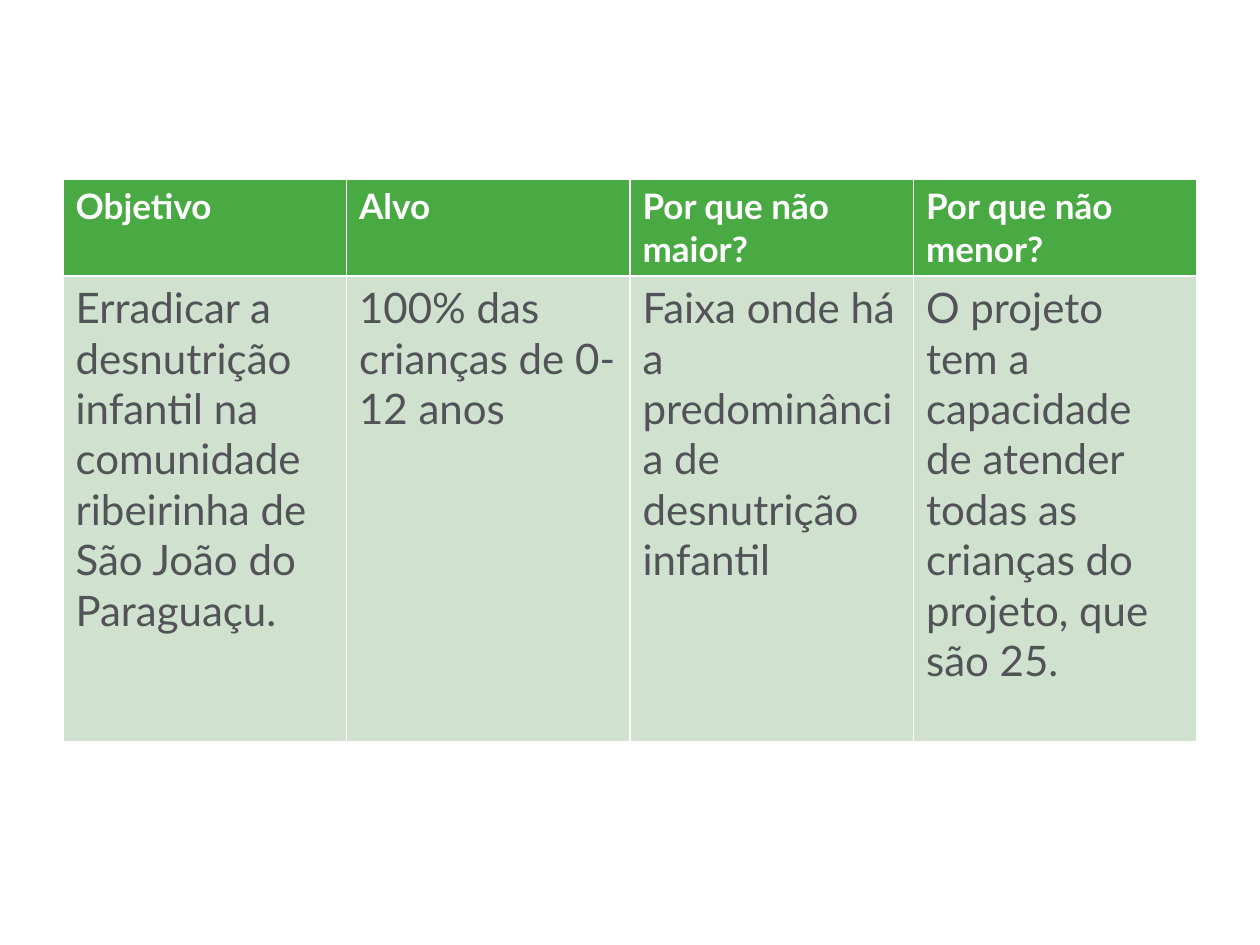
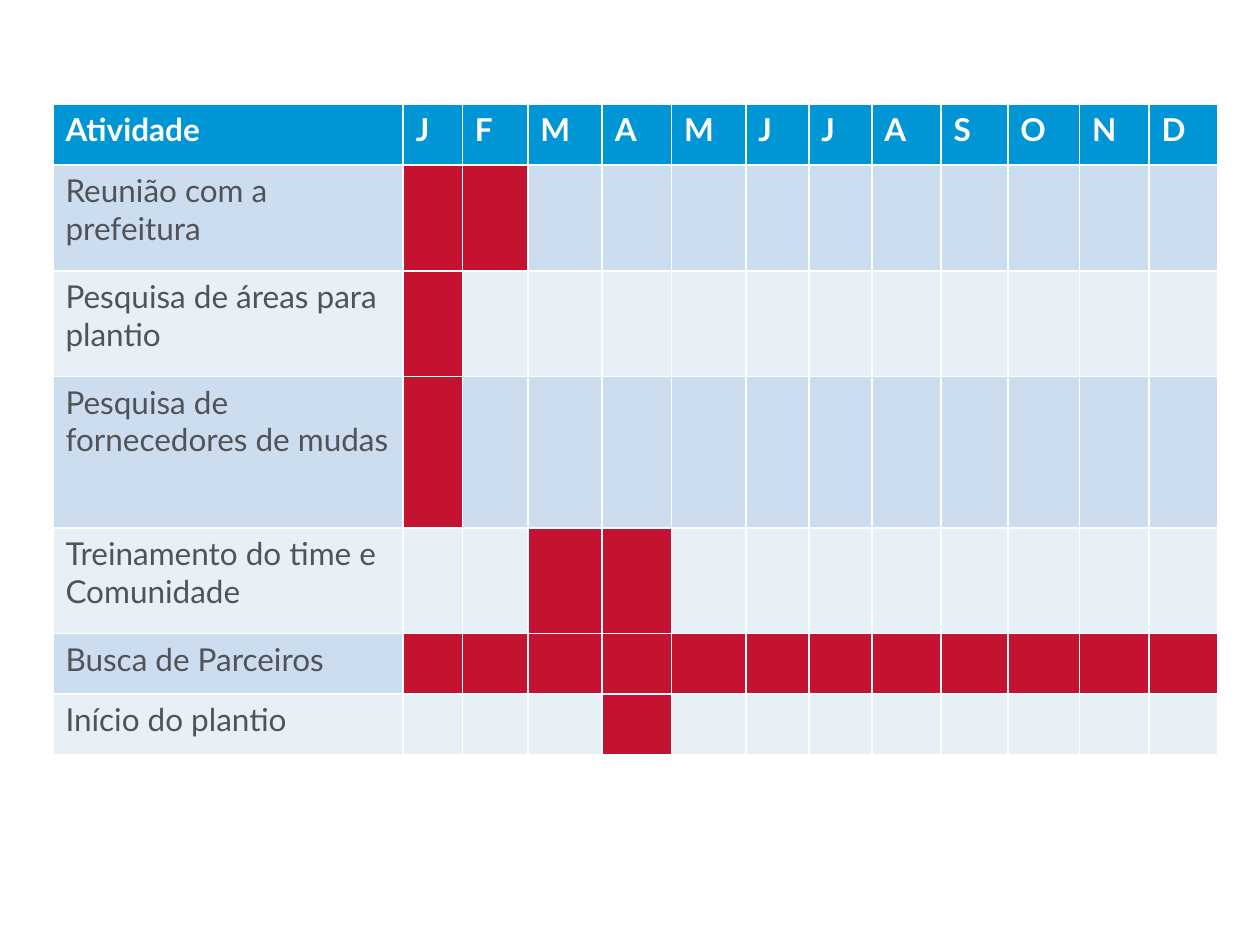
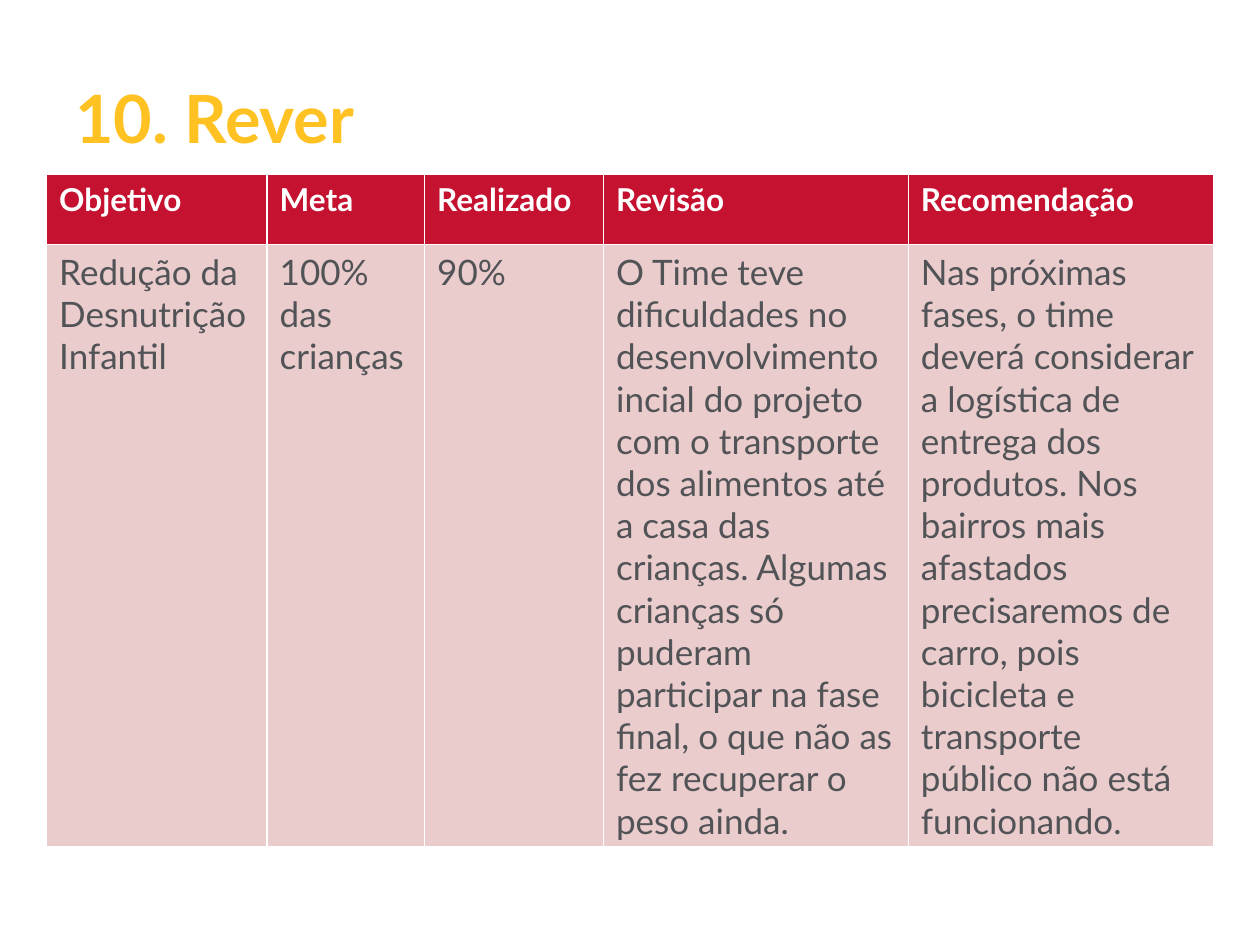
from pptx import Presentation
from pptx.dml.color import RGBColor
from pptx.enum.text import MSO_ANCHOR
from pptx.util import Inches, Pt

MIDDLE = MSO_ANCHOR.MIDDLE
FONT = "Lato"
WHITE = "FFFFFF"
GRAY = "515356"
GREEN = "49A942"
MINT = "D0E2CF"
BLUE = "0096D6"
SKY = "CCDDF0"
PALE = "E7EFF7"
RED = "C41230"
ROSE = "EACCCD"
GOLD = "FFC222"

GOALS = [
    ["Objetivo", "Alvo", "Por que não maior?", "Por que não menor?"],
    [
        "Erradicar a desnutrição infantil na comunidade ribeirinha de São João do Paraguaçu.",
        "100% das crianças de 0-12 anos",
        "Faixa onde há a predominância de desnutrição infantil",
        "O projeto tem a capacidade de atender todas as crianças do projeto, que são 25.",
    ],
]

MONTHS = "JFMAMJJASOND"
TASKS = [
    ("Reunião com a prefeitura", [1, 2]),
    ("Pesquisa de áreas para plantio", [1]),
    ("Pesquisa de fornecedores de mudas", [1]),
    ("Treinamento do time e Comunidade", [3, 4]),
    ("Busca de Parceiros", range(1, 13)),
    ("Início do plantio", [4]),
]

REVIEW = [
    ["Objetivo", "Meta", "Realizado", "Revisão", "Recomendação"],
    [
        "Redução da Desnutrição Infantil",
        "100% das crianças",
        "90%",
        "O Time teve dificuldades no desenvolvimento incial do projeto com o "
        "transporte dos alimentos até a casa das crianças. Algumas crianças só "
        "puderam participar na fase final, o que não as fez recuperar o peso ainda.",
        "Nas próximas fases, o time deverá considerar a logística de entrega dos "
        "produtos. Nos bairros mais afastados precisaremos de carro, pois bicicleta "
        "e transporte público não está funcionando.",
    ],
]


def color(code):
    return RGBColor.from_string(code)


def write(frame, text, size, tint, bold):
    run = frame.paragraphs[0].add_run()
    run.text = text
    font = run.font
    font.name = FONT
    font.size = Pt(size)
    font.bold = bold
    font.color.rgb = color(tint)


def add_title(slide, box, text):
    shape = slide.shapes.add_textbox(*map(Inches, box))
    frame = shape.text_frame
    frame.word_wrap = True
    frame.vertical_anchor = MIDDLE
    write(frame, text, 38, GOLD, True)


def add_grid(slide, left, top, cols, rows, cells, sizes, head, bands):
    box = map(Inches, (left, top, sum(cols), sum(rows)))
    table = slide.shapes.add_table(len(rows), len(cols), *box).table
    for col, width in zip(table.columns, cols):
        col.width = Inches(width)
    for row, height in zip(table.rows, rows):
        row.height = Inches(height)
    for r, line in enumerate(cells):
        top_row = r == 0
        fill = head if top_row else bands[(r - 1) % len(bands)]
        size = sizes[0] if top_row else sizes[1]
        tint = WHITE if top_row else GRAY
        for c in range(len(cols)):
            cell = table.cell(r, c)
            cell.fill.solid()
            cell.fill.fore_color.rgb = color(fill)
            if c < len(line):
                write(cell.text_frame, line[c], size, tint, top_row)
    return table


def goal_slide(slide):
    add_grid(slide, 0.5, 1.42, [2.25] * 4, [0.76, 3.7], GOALS, (20, 24), GREEN, [MINT])


def plan_slide(slide):
    cols = [2.78, 0.47, 0.52, 0.59, 0.55, 0.59, 0.5, 0.5, 0.55, 0.53, 0.57, 0.55, 0.55]
    rows = [0.48, 0.84, 0.84, 1.2, 0.84, 0.48, 0.48]
    cells = [["Atividade", *MONTHS]] + [[name] for name, _ in TASKS]
    table = add_grid(slide, 0.42, 0.83, cols, rows, cells, (18, 18), BLUE, [SKY, PALE])
    for r, (_, months) in enumerate(TASKS, 1):
        for month in months:
            table.cell(r, month).fill.fore_color.rgb = color(RED)


def review_slide(slide):
    add_title(slide, (0.5, 0.3, 9, 1.25), "10. Rever")
    cols = [1.75, 1.25, 1.42, 2.42, 2.42]
    add_grid(slide, 0.37, 1.38, cols, [0.56, 4.78], REVIEW, (18, 20), RED, [ROSE])


def main():
    deck = Presentation()
    deck.slide_width = Inches(10)
    deck.slide_height = Inches(7.5)
    for build in (goal_slide, plan_slide, review_slide):
        build(deck.slides.add_slide(deck.slide_layouts[6]))
    deck.save("out.pptx")


if __name__ == "__main__":
    main()
